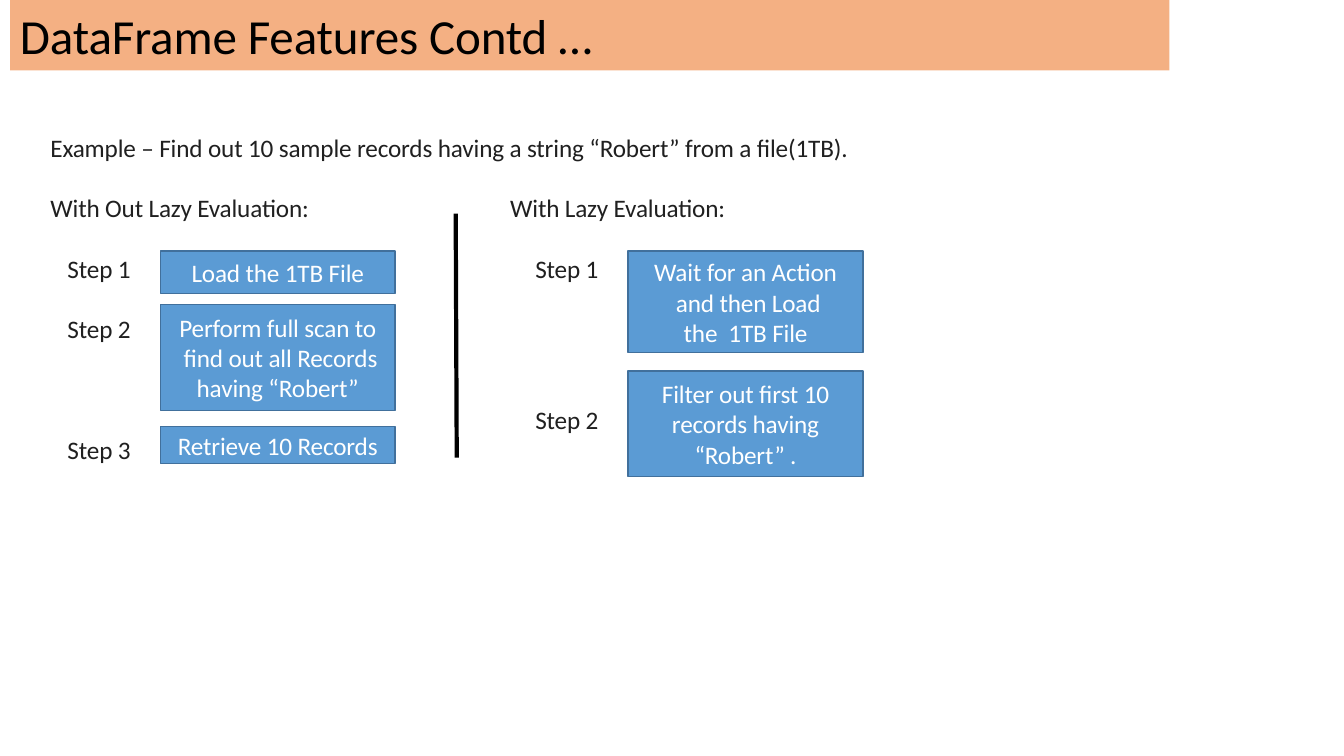
from dataclasses import dataclass

from lxml import etree
from pptx import Presentation
from pptx.dml.color import RGBColor
from pptx.enum import shapes, text
from pptx.oxml import ns
from pptx.util import Inches, Pt


@dataclass(frozen=True)
class Theme:
    """Colours, font and type sizes of the slide."""
    font: str = "Calibri"
    title_size: float = 35
    body_size: float = 18
    banner: str = "F4B083"
    box: str = "5B9BD4"
    box_line: str = "41709C"
    ink: str = "202020"
    black: str = "000000"
    white: str = "FFFFFF"


T = Theme()

WITHOUT_LAZY = [
    ("Step 1", 2.5, "Load the 1TB File", 2.49, 0.42),
    ("Step 2", 3.1, "Perform full scan to\v find out all Records\vhaving “Robert”", 3.02, 1.05),
    ("Step 3", 4.3, "Retrieve 10 Records", 4.23, 0.37),
]
WITH_LAZY = [
    ("Step 1", 2.5, "Wait for an Action\v and then Load\vthe  1TB File", 2.49, 1.01),
    ("Step 2", 4.0, "Filter out first 10\vrecords having\v“Robert” .", 3.68, 1.05),
]


def write(sp, words, size=T.body_size, color=T.ink, align=text.PP_ALIGN.LEFT,
          anchor=text.MSO_ANCHOR.TOP, left=0.01, top=0.01):
    """Put formatted text into a shape."""
    tf = sp.text_frame
    tf.word_wrap = True
    tf.vertical_anchor = anchor
    tf.margin_left, tf.margin_top = Inches(left), Inches(top)
    tf.margin_right = tf.margin_bottom = 0
    p = tf.paragraphs[0]
    p.text = words
    p.alignment = align
    for r in p.runs:
        r.font.name = T.font
        r.font.size = Pt(size)
        r.font.color.rgb = RGBColor.from_string(color)
        r._r.get_or_add_rPr().set("spc", "-10")


def add_label(s, x, y, w, words):
    """Add one line of body text."""
    sp = s.shapes.add_textbox(Inches(x), Inches(y), Inches(w), Inches(0.33))
    write(sp, words)


def add_box(s, x, y, w, h, fill, line=None):
    """Add a filled rectangle, outlined if a line colour is given."""
    sp = s.shapes.add_shape(shapes.MSO_SHAPE.RECTANGLE,
                            Inches(x), Inches(y), Inches(w), Inches(h))
    sp.shadow.inherit = False
    sp.fill.solid()
    sp.fill.fore_color.rgb = RGBColor.from_string(fill)
    if line:
        sp.line.color.rgb = RGBColor.from_string(line)
        sp.line.width = Pt(0.96)
    else:
        sp.line.fill.background()
    return sp


def add_banner(s, x, y, w, h, title):
    """Add the title band."""
    sp = add_box(s, x, y, w, h, T.banner)
    write(sp, title, size=T.title_size, color=T.black,
          anchor=text.MSO_ANCHOR.MIDDLE, left=0.1, top=0)


def add_panel(s, x, y, w, heading, steps, indent):
    """Add a heading and its labelled step boxes."""
    add_label(s, x, y, w, heading)
    for label, label_y, words, box_y, box_h in steps:
        add_label(s, x + indent, label_y, 0.8, label)
        sp = add_box(s, x + indent + 0.93, box_y, 2.33, box_h, T.box, T.box_line)
        write(sp, words, color=T.white, align=text.PP_ALIGN.CENTER,
              anchor=text.MSO_ANCHOR.MIDDLE, left=0, top=0)


def add_divider(s, x1, y1, x2, y2):
    """Add the thick line between the panels."""
    c = s.shapes.add_connector(shapes.MSO_CONNECTOR.STRAIGHT,
                               Inches(x1), Inches(y1), Inches(x2), Inches(y2))
    c.line.color.rgb = RGBColor.from_string(T.black)
    c.line.width = Pt(3)
    etree.SubElement(c._element.spPr, ns.qn("a:effectLst"))


def main():
    """Build and save the slide."""
    prs = Presentation()
    prs.slide_width, prs.slide_height = Inches(13.33), Inches(7.5)
    s = prs.slides.add_slide(prs.slide_layouts[6])
    add_banner(s, 0.1, 0, 11.5, 0.7, "DataFrame Features Contd …")
    add_label(s, 0.49, 1.3, 8.6,
              "Example – Find out 10 sample records having a string “Robert” from a file(1TB).")
    add_panel(s, 0.49, 1.9, 3.5, "With Out Lazy Evaluation:", WITHOUT_LAZY, 0.17)
    add_panel(s, 5.05, 1.9, 3.5, "With Lazy Evaluation:", WITH_LAZY, 0.25)
    add_divider(s, 4.52, 2.12, 4.53, 4.54)
    prs.save("out.pptx")


if __name__ == "__main__":
    main()
